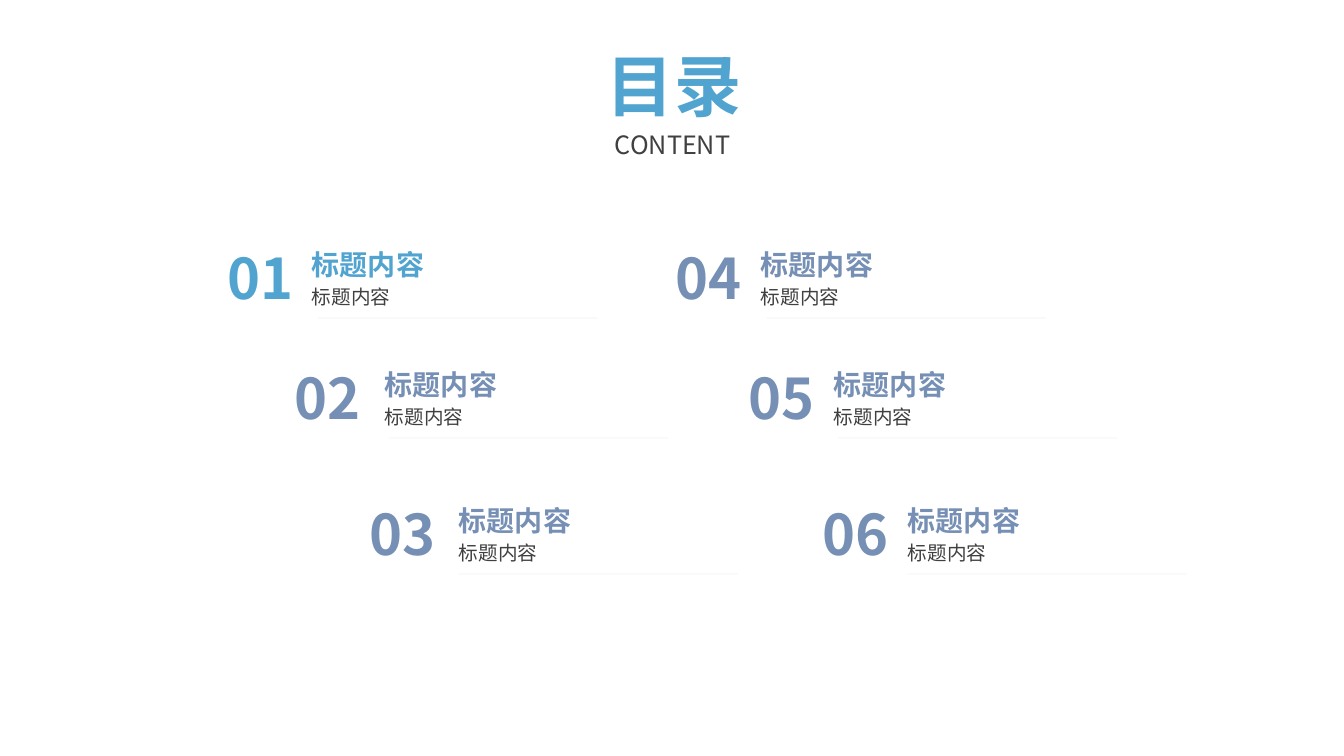
from lxml.etree import SubElement
from pptx import Presentation
from pptx.dml.color import RGBColor
from pptx.enum.shapes import MSO_CONNECTOR as Connector
from pptx.enum.text import MSO_ANCHOR as Anchor, MSO_AUTO_SIZE as AutoSize
from pptx.oxml.ns import qn
from pptx.util import Emu, Pt

FONT = "Noto Sans CJK SC"
BRIGHT, MUTED, DARK = "51A4CF", "768FB5", "404040"
HEADING = "标题内容"

ROWS = [(302, 243, 16), (375, 363, 14), (449, 499, 10)]  # left, top, rule indent
COLUMN_SHIFT = 449
NUMBER_GAPS = [84, 90, 89, 85, 85, 85]


def px(length):
    return Emu(round(length * 914400 / 100.8))


def color(value):
    return RGBColor.from_string(value)


def add_text(page, box, text, size, ink, bold=False):
    """Place one line of text and return its frame."""
    frame = page.shapes.add_textbox(*map(px, box)).text_frame
    frame.word_wrap = False
    frame.auto_size = AutoSize.SHAPE_TO_FIT_TEXT
    para = frame.paragraphs[0]
    para.text = text
    font = para.font
    font.name, font.size, font.bold = FONT, Pt(size), bold
    font.color.rgb = color(ink)
    # East Asian glyphs need their own typeface entry
    SubElement(para._p.pPr.find(qn("a:defRPr")), qn("a:ea"), typeface=FONT)
    return frame


def add_rule(page, left, top, width):
    """Draw a faint horizontal line."""
    rule = page.shapes.add_connector(
        Connector.STRAIGHT, px(left), px(top), px(left + width), px(top))
    rule.line.width = Pt(0.75)
    rule.line.color.rgb = color(MUTED)
    ink = rule.line.fill._xPr.find(".//" + qn("a:srgbClr"))
    SubElement(ink, qn("a:alpha"), val="8000")
    SubElement(rule._element.spPr, qn("a:effectLst"))


def add_header(page, left, top, width, height):
    title = add_text(page, (left, top, width, height), "目录", 48, BRIGHT, True)
    title.auto_size = AutoSize.NONE
    title.word_wrap = True
    title.vertical_anchor = Anchor.MIDDLE
    title.paragraphs[0].line_spacing = 0.9
    add_text(page, (left + 8, top + 79, 142, 40), "CONTENT", 18, DARK)


def add_entry(page, left, top, number, number_gap, rule_indent, ink):
    add_text(page, (left - number_gap, top - 4, 90, 78), f"{number:02}", 40, ink, True)
    add_text(page, (left, top, 133, 44), HEADING, 20, ink, True)
    add_text(page, (left, top + 37, 100, 34), HEADING, 14, DARK)
    add_rule(page, left + rule_indent, top + 75, 279)


def add_contents(page):
    """Lay out two columns of three stepped entries."""
    for index, number_gap in enumerate(NUMBER_GAPS):
        column, row = divmod(index, len(ROWS))
        left, top, rule_indent = ROWS[row]
        add_entry(page, left + column * COLUMN_SHIFT, top, index + 1,
                  number_gap, rule_indent, MUTED if index else BRIGHT)


def main():
    deck = Presentation()
    deck.slide_width, deck.slide_height = px(1344), px(756)
    page = deck.slides.add_slide(deck.slide_layouts[6])
    add_header(page, 597, 45, 169, 90)
    add_contents(page)
    deck.save("out.pptx")


if __name__ == "__main__":
    main()
